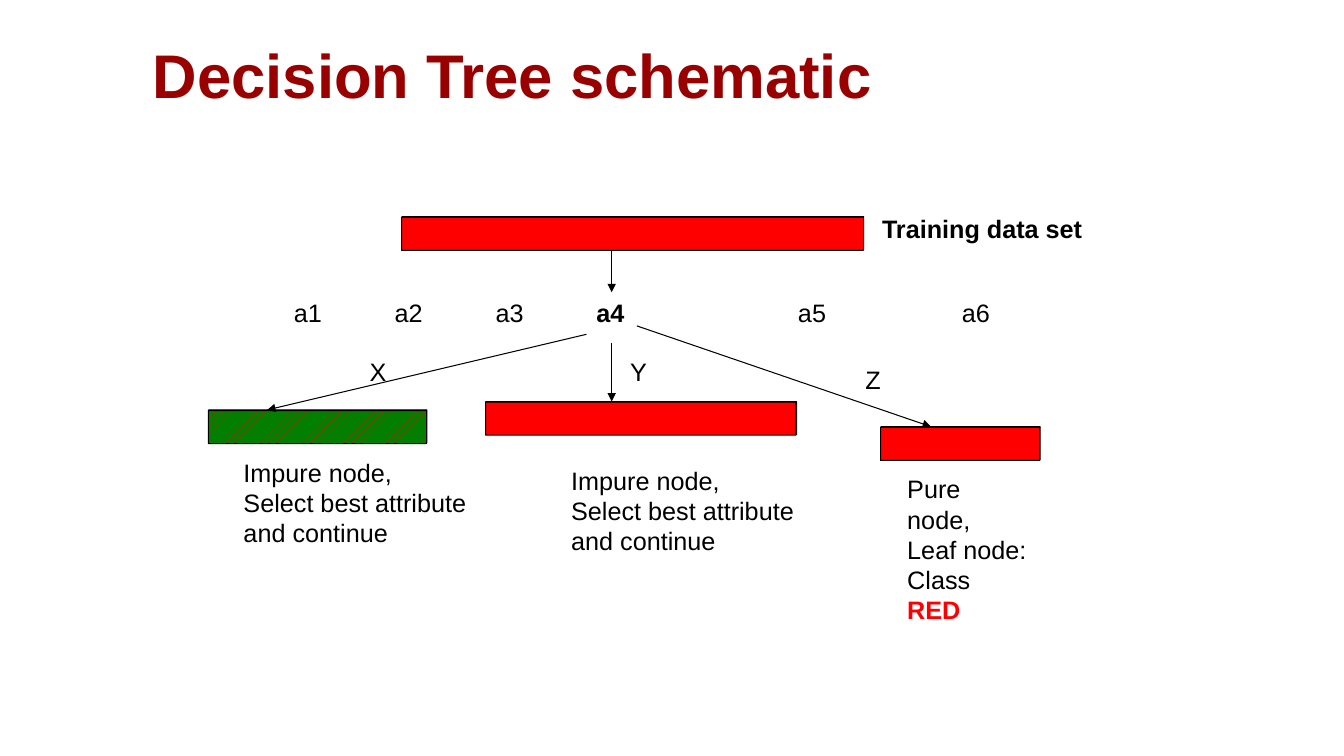
import pptx
import pptx.dml.color
import pptx.enum.dml
import pptx.enum.shapes
import pptx.enum.text
import pptx.oxml.ns
import pptx.util
from lxml import etree

COLOURS = {
    "title": "990000",
    "ink": "000000",
    "red": "FF0000",
    "green": "008000",
}
PATTERNS = pptx.enum.dml.MSO_PATTERN
ANCHORS = pptx.enum.text.MSO_ANCHOR
SIZING = pptx.enum.text.MSO_AUTO_SIZE


def colour(name):
    return pptx.dml.color.RGBColor.from_string(COLOURS[name])


def add_node(parent, tag, **attributes):
    return etree.SubElement(parent, pptx.oxml.ns.qn(tag), attributes)


class TreeSlide:
    font = "Arial"
    size = 18
    line_width = pptx.util.Pt(0.75)
    cell = pptx.util.Inches(1 / 12)
    origin = 0.8
    bar_rows = 4

    def __init__(self, deck):
        self.page = deck.slides.add_slide(deck.slide_layouts[6])

    def place(self, index):
        return round((index + self.origin) * self.cell)

    def span(self, count):
        return round(count * self.cell)

    def text(self, column, row, columns, rows, lines, wrap=True,
             tabs=(), anchor=ANCHORS.TOP, sizing=SIZING.SHAPE_TO_FIT_TEXT, **style):
        box = self.page.shapes.add_textbox(
            self.place(column), self.place(row), self.span(columns), self.span(rows))
        frame = box.text_frame
        settings = {"word_wrap": wrap, "auto_size": sizing, "vertical_anchor": anchor}
        for name, value in settings.items():
            setattr(frame, name, value)
        for number, line in enumerate(lines):
            para = frame.add_paragraph() if number else frame.paragraphs[0]
            if tabs:
                stops = add_node(para._p.get_or_add_pPr(), "a:tabLst")
                for stop in tabs:
                    add_node(stops, "a:tab", pos=str(self.span(stop)), algn="l")
            for words, changes in line:
                self.add_words(para, words, {**style, **changes})

    def add_words(self, para, words, style):
        run = para.add_run()
        run.text = words
        run.font.color.rgb = colour(style.get("ink", "ink"))
        values = {
            "name": self.font,
            "size": pptx.util.Pt(style.get("size", self.size)),
            "bold": style.get("bold", False),
        }
        for name, value in values.items():
            setattr(run.font, name, value)

    def bar(self, column, row, columns, pattern=None):
        shape = self.page.shapes.add_shape(
            pptx.enum.shapes.MSO_SHAPE.CUBE, self.place(column), self.place(row),
            self.span(columns), self.span(self.bar_rows))
        shape.adjustments[0] = 0.018
        shape.shadow.inherit = False
        if pattern is None:
            shape.fill.solid()
        else:
            shape.fill.patterned()
            shape.fill.pattern = pattern
            shape.fill.back_color.rgb = colour("green")
        shape.fill.fore_color.rgb = colour("red")
        self.outline(shape)

    def arrow(self, start, end):
        line = self.page.shapes.add_connector(
            pptx.enum.shapes.MSO_CONNECTOR.STRAIGHT,
            *(self.place(index) for index in (*start, *end)))
        self.outline(line)
        properties = line._element.spPr
        add_node(properties.find(pptx.oxml.ns.qn("a:ln")), "a:tailEnd", type="triangle")
        add_node(properties, "a:effectLst")

    def outline(self, shape):
        shape.line.color.rgb = colour("ink")
        shape.line.width = self.line_width


def main():
    deck = pptx.Presentation()
    deck.slide_width = pptx.util.Inches(13.33)
    deck.slide_height = pptx.util.Inches(7.5)
    slide = TreeSlide(deck)

    slide.text(16.2, 0.5, 108, 15, [[("Decision Tree schematic", {})]],
               anchor=ANCHORS.MIDDLE, sizing=SIZING.NONE, size=44, bold=True, ink="title")
    slide.text(103, 24, 35, 4.8, [[("Training data set", {})]], bold=True)
    attributes = [("a1\ta2\ta3\t", {}), ("a4", {"bold": True}), ("\ta5\ta6", {})]
    slide.text(33, 34, 89, 4.8, [attributes], tabs=(12, 24, 36, 60, 79.5))

    for column, row, columns, pattern in (
        (47, 25, 55, PATTERNS.DARK_VERTICAL),
        (24, 48, 26, PATTERNS.DASHED_UPWARD_DIAGONAL),
        (57, 47, 37, PATTERNS.DARK_VERTICAL),
        (104, 50, 19, None),
    ):
        slide.bar(column, row, columns, pattern)

    for start, end in (
        ((72, 29), (72, 34)),
        ((69, 39), (31, 48)),
        ((72, 40), (72, 47)),
        ((75, 38), (110, 50)),
    ):
        slide.arrow(start, end)

    for branch, column, row in (("X", 42, 41), ("Y", 73, 41), ("Z", 101, 42)):
        slide.text(column, row, 4.4, 4.8, [[(branch, {})]], wrap=False)

    impure = [[(words, {})] for words in
              ("Impure node,", "Select best attribute", "and continue")]
    pure = [[("Pure node,", {})], [("Leaf node:", {})],
            [("Class ", {}), ("RED", {"bold": True, "ink": "red"})]]
    for column, row, columns, lines in (
        (27, 53, 28.9, impure), (66, 54, 28.9, impure), (106, 55, 17, pure),
    ):
        slide.text(column, row, columns, 12, lines, wrap=False)

    deck.save("out.pptx")


if __name__ == "__main__":
    main()
